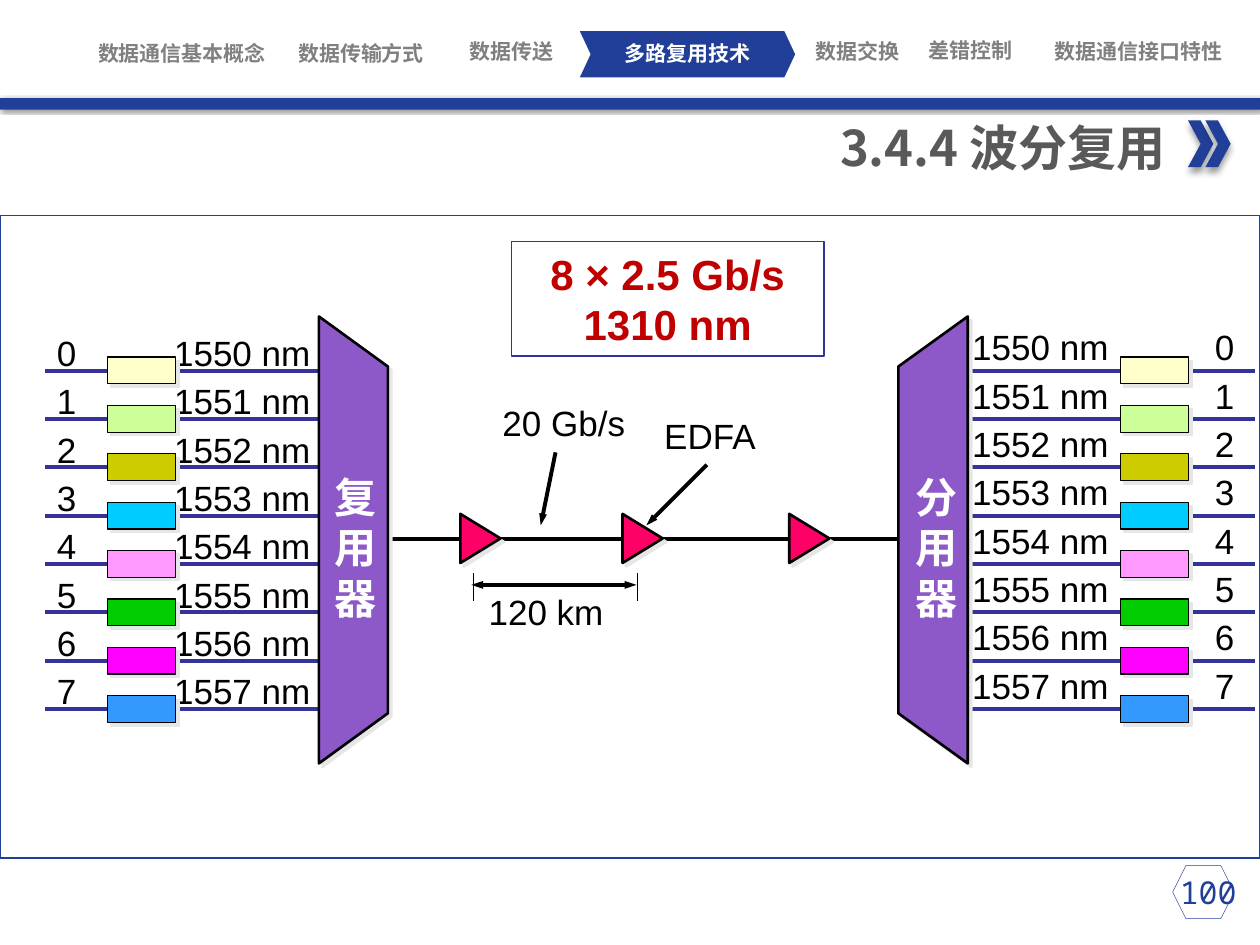
from lxml.etree import SubElement
from pptx import Presentation
from pptx.dml.color import RGBColor
from pptx.enum.shapes import MSO_CONNECTOR, MSO_SHAPE
from pptx.enum.text import MSO_ANCHOR, PP_ALIGN
from pptx.oxml.ns import qn
from pptx.util import Cm, Pt

BLUE, GREY, RAIL, BLACK, WHITE = "213F99", "808080", "333399", "000000", "FFFFFF"
SOFT_SHADOW = ("E7E6E6", 100, 0, 2.8, 45)
CHEVRON_SHADOW = (BLACK, 40, 4, 3, 90)
BAR_SHADOW = (BLACK, 40, 2, 1, 45)


def style(shape, fill=None, line=None, weight=0.75, shadow=None):
    """Set fill, outline and shadow; shadow is colour, opacity, blur, distance, angle."""
    shape.shadow.inherit = False
    if fill:
        shape.fill.solid()
        shape.fill.fore_color.rgb = RGBColor.from_string(fill)
    else:
        shape.fill.background()
    if line:
        shape.line.color.rgb = RGBColor.from_string(line)
        shape.line.width = Pt(weight)
    else:
        shape.line.fill.background()
    if shadow:
        colour, opacity, blur, distance, angle = shadow
        effects = shape._element.spPr.find(qn("a:effectLst"))
        outer = SubElement(effects, qn("a:outerShdw"), blurRad=str(Pt(blur)),
                           dist=str(Pt(distance)), dir=str(angle * 60000),
                           algn="ctr", rotWithShape="0")
        tint = SubElement(outer, qn("a:srgbClr"), val=colour)
        SubElement(tint, qn("a:alpha"), val=str(opacity * 1000))
    return shape


def write(box, lines, size, font, colour, bold=False, align=PP_ALIGN.LEFT,
          anchor=MSO_ANCHOR.TOP, wrap=True, spacing=None, tab=None, inset=True):
    """Fill a box with one paragraph per line; tab is a left tab stop in cm."""
    frame = box.text_frame
    frame.word_wrap = wrap
    frame.vertical_anchor = anchor
    if not inset:
        frame.margin_left = frame.margin_right = 0
        frame.margin_top = frame.margin_bottom = 0
    for index, line in enumerate(lines):
        paragraph = frame.paragraphs[0] if index == 0 else frame.add_paragraph()
        if tab:
            stops = SubElement(paragraph._p.get_or_add_pPr(), qn("a:tabLst"))
            SubElement(stops, qn("a:tab"), pos=str(Cm(tab)), algn="l")
        paragraph.alignment = align
        if spacing:
            paragraph.line_spacing = spacing
        span = paragraph.add_run()
        span.text = line
        span.font.size = Pt(size)
        span.font.bold = bold
        span.font.name = font
        span.font.color.rgb = RGBColor.from_string(colour)
        SubElement(span._r.get_or_add_rPr(), qn("a:ea"), typeface=font)


deck = Presentation()
deck.slide_width, deck.slide_height = Cm(25.4), Cm(19.05)
page = deck.slides.add_slide(deck.slide_layouts[6])
shapes = page.shapes

# Navigation strip
active = shapes.add_shape(MSO_SHAPE.CHEVRON, Cm(11.69), Cm(0.63), Cm(4.34), Cm(0.93))
active.adjustments[0] = 0.234
style(active, BLUE)
sections = [
    ("数据通信基本概念", 1.83, 0.81, 3.68, GREY),
    ("数据传输方式", 5.44, 0.81, 3.68, GREY),
    ("数据传送", 8.7, 0.77, 3.23, GREY),
    ("多路复用技术", 12.02, 0.81, 3.68, WHITE),
    ("数据交换", 15.44, 0.77, 3.68, GREY),
    ("差错控制", 17.73, 0.76, 3.68, GREY),
    ("数据通信接口特性", 20.52, 0.77, 4.88, GREY),
]
for name, left, top, width, colour in sections:
    box = shapes.add_textbox(Cm(left), Cm(top), Cm(width), Cm(0.51))
    write(box, [name], 12, "Roboto Condensed", colour, bold=True,
          align=PP_ALIGN.CENTER, anchor=MSO_ANCHOR.MIDDLE, inset=False)
bar = shapes.add_shape(MSO_SHAPE.RECTANGLE, 0, Cm(1.98), Cm(25.4), Cm(0.23))
style(bar, BLUE, shadow=BAR_SHADOW)

# Page number
number = shapes.add_textbox(Cm(23.29), Cm(17.48), Cm(2.13), Cm(1.02))
write(number, ["100"], 18, "Noto Sans Mono", BLUE, align=PP_ALIGN.CENTER)
hexagon = shapes.add_shape(MSO_SHAPE.HEXAGON, Cm(23.64), Cm(17.45), Cm(1.24), Cm(1.07))
style(hexagon, line=BLUE, weight=0.25)

# Title
for left in (23.95, 24.3):
    chevron = shapes.add_shape(MSO_SHAPE.CHEVRON, Cm(left), Cm(2.43), Cm(0.51), Cm(0.94))
    style(chevron, BLUE, shadow=CHEVRON_SHADOW)
title = shapes.add_textbox(Cm(16.22), Cm(2.24), Cm(7.52), Cm(1.45))
write(title, ["3.4.4 波分复用"], 28, "Noto Sans CJK SC", "595959", bold=True,
      align=PP_ALIGN.RIGHT, anchor=MSO_ANCHOR.MIDDLE)

# Frame and capacity box
frame_box = shapes.add_shape(MSO_SHAPE.RECTANGLE, 0, Cm(4.35), Cm(25.4), Cm(12.95))
style(frame_box, line=BLUE)
capacity = shapes.add_shape(MSO_SHAPE.RECTANGLE, Cm(10.31), Cm(4.87), Cm(6.3), Cm(2.31))
style(capacity, line=RAIL)
write(capacity, ["8 × 2.5 Gb/s", "1310 nm"], 24, "Arial", "C00000", bold=True,
      align=PP_ALIGN.CENTER, anchor=MSO_ANCHOR.MIDDLE)

# Channel labels
channels = range(8)
inputs = [f"{channel}\t{1550 + channel} nm" for channel in channels]
outputs = [f"{1550 + channel} nm\t{channel}" for channel in channels]
for left, top, width, lines, tab in [(0.9, 6.43, 6.5, inputs, 2.36),
                                     (19.35, 6.32, 6.05, outputs, 4.89)]:
    box = shapes.add_textbox(Cm(left), Cm(top), Cm(width), Cm(8.05))
    write(box, lines, 20, "Arial", BLACK, spacing=1.15, tab=tab)

# Lines: start, end, colour, weight, arrowheads
row_heights = [7.47 + 0.975 * channel for channel in channels]
lines = [(left, height, right, height, RAIL, 2.25, ())
         for left, right in [(0.91, 6.71), (19.51, 25.3)] for height in row_heights]
lines += [
    (6.86, 10.87, 19.35, 10.87, BLACK, 2.25, ()),
    (11.2, 9.12, 10.9, 10.59, BLACK, 2.25, ("tailEnd",)),
    (14.25, 9.37, 13.03, 10.59, BLACK, 2.25, ("tailEnd",)),
    (9.55, 11.56, 9.55, 12.12, BLACK, 0.75, ()),
    (12.85, 11.56, 12.85, 12.12, BLACK, 0.75, ()),
    (9.5, 11.79, 12.83, 11.79, BLACK, 2.25, ("headEnd", "tailEnd")),
]
for x1, y1, x2, y2, colour, weight, ends in lines:
    connector = shapes.add_connector(MSO_CONNECTOR.STRAIGHT, Cm(x1), Cm(y1), Cm(x2), Cm(y2))
    connector.line.color.rgb = RGBColor.from_string(colour)
    connector.line.width = Pt(weight)
    for end in ends:
        SubElement(connector.line._get_or_add_ln(), qn(f"a:{end}"),
                   type="triangle", w="sm", len="med")
    SubElement(connector._element.spPr, qn("a:effectLst"))

# Channel blocks
channel_colours = ["FFFFCC", "CCFF99", "CCCC00", "00CCFF",
                   "FF99FF", "00CC00", "FF00FF", "3399FF"]
for left in (2.17, 22.59):
    for height, colour in zip(row_heights, channel_colours):
        block = shapes.add_shape(MSO_SHAPE.RECTANGLE, Cm(left), Cm(height - 0.27),
                                 Cm(1.37), Cm(0.54))
        style(block, colour, BLACK, shadow=SOFT_SHADOW)

# Amplifiers
for left in (9.19, 12.46, 15.82):
    amplifier = shapes.add_shape(MSO_SHAPE.ISOSCELES_TRIANGLE, Cm(left), Cm(10.45),
                                 Cm(0.99), Cm(0.81))
    amplifier.rotation = 90
    style(amplifier, "FF0066", BLACK, 1.5, SOFT_SHADOW)

# Multiplexer and demultiplexer
for outer, inner, text_left, name in [(6.43, 7.82, 6.5, "复用器"),
                                      (19.51, 18.11, 18.2, "分用器")]:
    outline = shapes.build_freeform(Cm(outer), Cm(6.38))
    outline.add_line_segments([(Cm(inner), Cm(7.39)), (Cm(inner), Cm(14.38)),
                               (Cm(outer), Cm(15.39))], close=True)
    style(outline.convert_to_shape(), "8D58C8", BLACK, 1.5, SOFT_SHADOW)
    box = shapes.add_textbox(Cm(text_left), Cm(9.38), Cm(1.37), Cm(3.33))
    write(box, name, 24, "Calibri", WHITE, bold=True, wrap=False)

# Link labels
for label, left, top, width in [("20 Gb/s", 9.88, 7.96, 3.05),
                                ("EDFA", 13.14, 8.23, 2.44),
                                ("120 km", 9.6, 11.78, 2.9)]:
    box = shapes.add_textbox(Cm(left), Cm(top), Cm(width), Cm(1.09))
    write(box, [label], 20, "Arial", BLACK, wrap=False)

deck.save("out.pptx")
